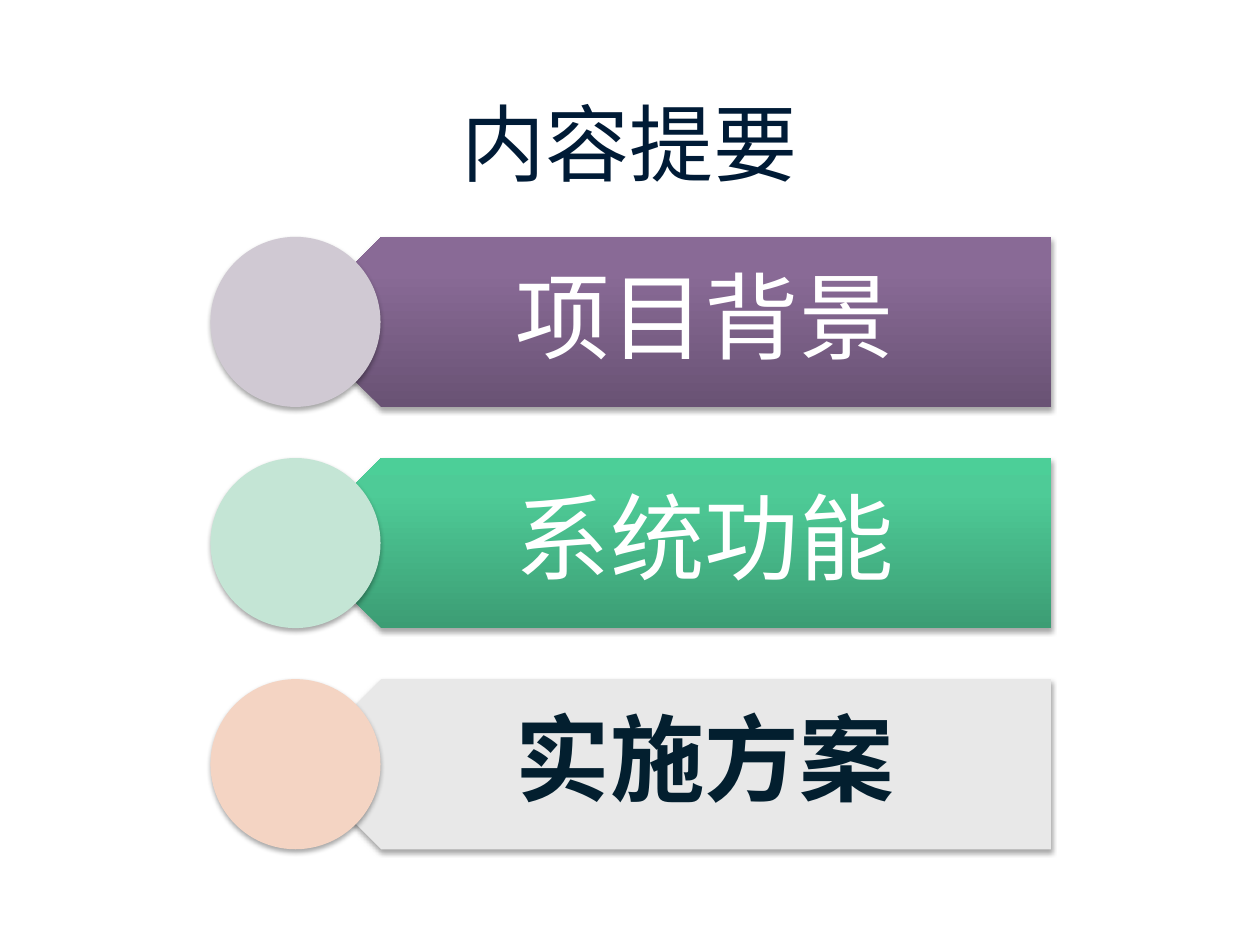
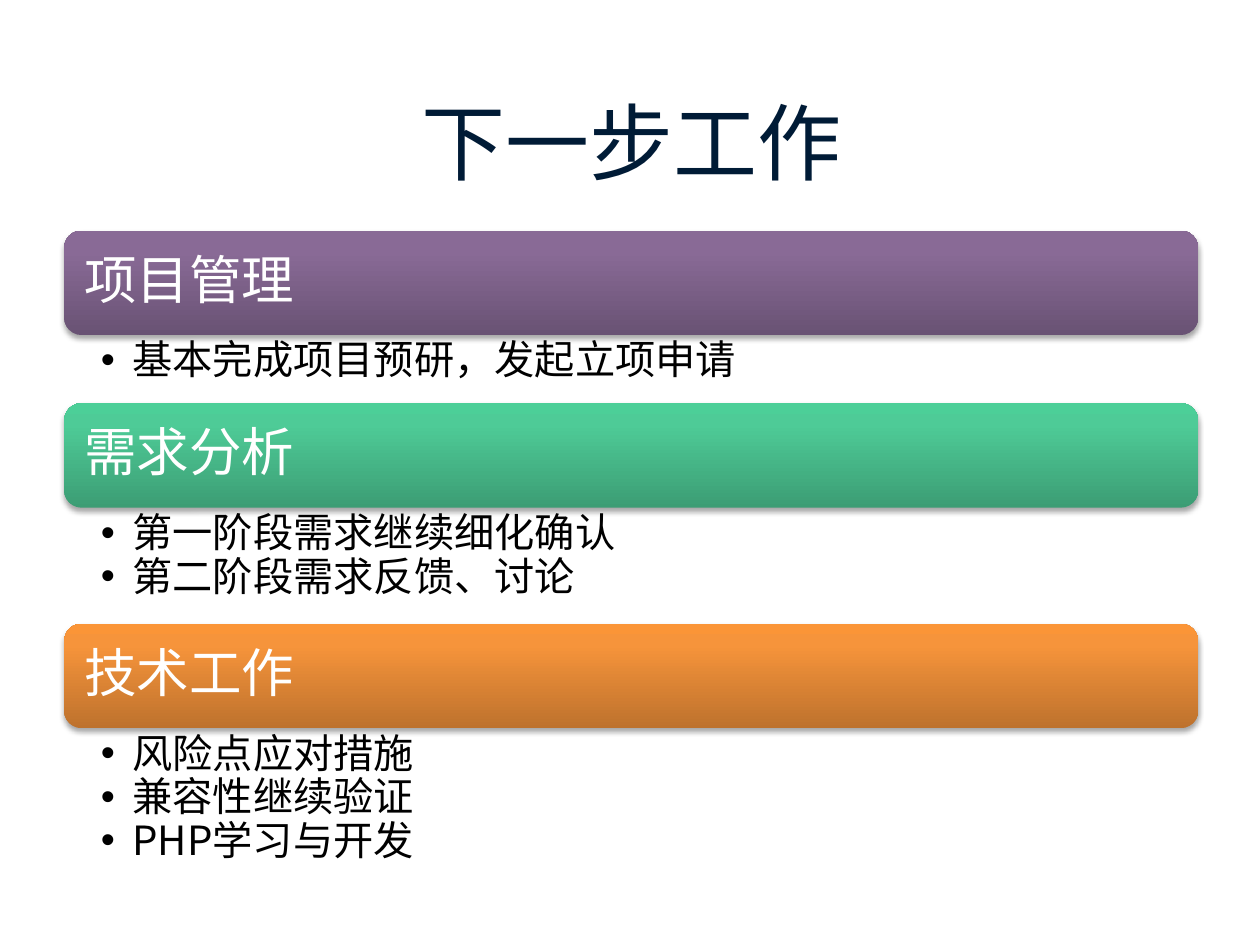
from lxml import etree
from pptx import Presentation
from pptx.dml.color import RGBColor
from pptx.enum.shapes import MSO_SHAPE
from pptx.enum.text import MSO_ANCHOR, PP_ALIGN
from pptx.oxml.ns import qn
from pptx.util import Inches, Pt

PLATE, ROUND, OVAL = MSO_SHAPE.PENTAGON, MSO_SHAPE.ROUNDED_RECTANGLE, MSO_SHAPE.OVAL
LEFT, CENTER = PP_ALIGN.LEFT, PP_ALIGN.CENTER
TOP, MIDDLE = MSO_ANCHOR.TOP, MSO_ANCHOR.MIDDLE
FONT = "Noto Sans CJK SC"

NAVY = RGBColor(0x00, 0x1B, 0x36)
INK = RGBColor(0x03, 0x1F, 0x2F)
WHITE = RGBColor(0xFF, 0xFF, 0xFF)
BLACK = RGBColor(0x00, 0x00, 0x00)
GREY = RGBColor(0xE8, 0xE8, 0xE8)
LILAC = RGBColor(0xD0, 0xC9, 0xD3)
MINT = RGBColor(0xC4, 0xE5, 0xD5)
PEACH = RGBColor(0xF4, 0xD4, 0xC3)
PURPLE = [RGBColor(0x69, 0x52, 0x74), RGBColor(0x89, 0x6A, 0x96), RGBColor(0x8A, 0x6A, 0x98)]
GREEN = [RGBColor(0x3C, 0x9D, 0x74), RGBColor(0x4E, 0xCB, 0x97), RGBColor(0x4C, 0xCF, 0x98)]
ORANGE = [RGBColor(0xBE, 0x72, 0x2D), RGBColor(0xF6, 0x94, 0x3B), RGBColor(0xFB, 0x95, 0x37)]


def draw(slide, kind, box, paint):
    shape = slide.shapes.add_shape(kind, *map(Inches, box))
    shape.line.fill.background()
    shape.shadow.inherit = False
    props = shape._element.spPr
    if isinstance(paint, RGBColor):
        shape.fill.solid()
        shape.fill.fore_color.rgb = paint
    else:
        shape.fill.gradient()
        shape.fill.gradient_angle = 90
        grad = props.find(qn("a:gradFill"))
        grad.set("rotWithShape", "0")
        stops = grad.find(qn("a:gsLst"))
        for stop in list(stops):
            stops.remove(stop)
        for pos, color in zip((0, 80000, 100000), paint):
            stop = etree.SubElement(stops, qn("a:gs"), pos=str(pos))
            etree.SubElement(stop, qn("a:srgbClr"), val=str(color))
    shade = etree.SubElement(props.find(qn("a:effectLst")), qn("a:outerShdw"),
                             blurRad=str(Pt(3.1)), dist=str(Pt(1.8)),
                             dir="5400000", rotWithShape="0")
    tone = etree.SubElement(shade, qn("a:srgbClr"), val="000000")
    etree.SubElement(tone, qn("a:alpha"), val="35000")
    return shape


def write(slide, box, lines, size, color, pads, align=LEFT, anchor=MIDDLE, bold=False, dots=False):
    frame = slide.shapes.add_textbox(*map(Inches, box)).text_frame
    frame.word_wrap = True
    frame.vertical_anchor = anchor
    (frame.margin_left, frame.margin_top,
     frame.margin_right, frame.margin_bottom) = map(Inches, pads)
    frame.text = "\n".join(lines)
    for para in frame.paragraphs:
        para.alignment = align
        para.line_spacing = 0.9
        para.font.name = FONT
        para.font.size = Pt(size)
        para.font.bold = bold
        para.font.color.rgb = color
        props = para._p.pPr
        base = props.find(qn("a:defRPr"))
        etree.SubElement(base, qn("a:ea"), typeface=FONT)
        if dots:
            props.set("marL", str(Inches(0.25)))
            props.set("indent", str(Inches(-0.25)))
            base.addprevious(etree.Element(qn("a:buFont"), typeface="Arial"))
            base.addprevious(etree.Element(qn("a:buChar"), char="•"))


deck = Presentation()
deck.slide_width = Inches(10)
deck.slide_height = Inches(7.5)

slides = []
for text, font, box in [
    ("内容提要", FONT, (0.5, 0.5, 9, 1.25)),
    ("下一步工作", "Arial", (0.51, 0.68, 9, 0.87)),
]:
    slide = deck.slides.add_slide(deck.slide_layouts[5])
    title = slide.shapes.title
    title.left, title.top, title.width, title.height = map(Inches, box)
    title.text_frame.text = text
    title.text_frame.vertical_anchor = MIDDLE
    para = title.text_frame.paragraphs[0]
    para.alignment = CENTER
    para.font.name = font
    para.font.size = Pt(48)
    para.font.color.rgb = NAVY
    etree.SubElement(para._p.pPr.find(qn("a:defRPr")), qn("a:ea"), typeface=font)
    slides.append(slide)
agenda, plan = slides

topics = [
    ("项目背景", PURPLE, LILAC, WHITE, False),
    ("系统功能", GREEN, MINT, WHITE, False),
    ("实施方案", GREY, PEACH, INK, True),
]
tall = 1.35
for row, (text, paint, disc, color, bold) in enumerate(topics):
    top = 1.88 + row * 1.755
    plate = draw(agenda, PLATE, (2.35, top, 5.99, tall), paint)
    plate.rotation = 180
    write(agenda, (2.68, top, 5.65, tall), [text], 54, color,
          (0.6, 0.23, 0.42, 0.23), align=CENTER, bold=bold)
    draw(agenda, OVAL, (1.67, top, tall, tall), disc)

tasks = [
    ("项目管理", PURPLE, 0.54, ["基本完成项目预研，发起立项申请"]),
    ("需求分析", GREEN, 0.92, ["第一阶段需求继续细化确认", "第二阶段需求反馈、讨论"]),
    ("技术工作", ORANGE, 1.39, ["风险点应对措施", "兼容性继续验证", "PHP学习与开发"]),
]
top, bar = 1.83, 0.83
for head, paint, depth, items in tasks:
    draw(plan, ROUND, (0.51, top, 9, bar), paint)
    write(plan, (0.55, top + 0.04, 8.92, 0.74), [head], 30, WHITE, (0.12,) * 4)
    top += bar
    write(plan, (0.51, top, 9, depth), items, 23, BLACK,
          (0.29, 0.04, 0.23, 0.04), anchor=TOP, dots=True)
    top += depth

deck.save("out.pptx")
